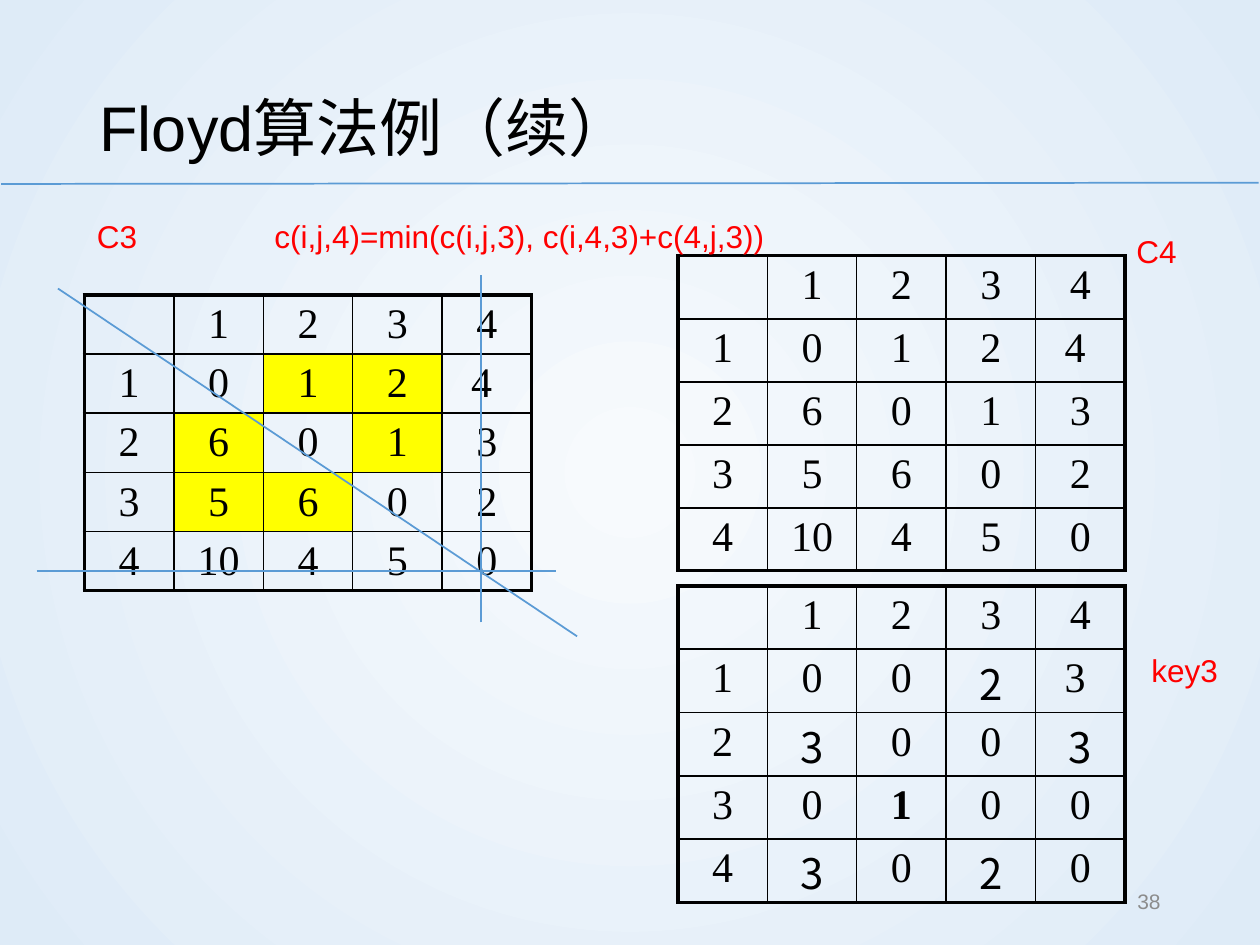
"""Build the Floyd algorithm example slide with three matrices."""
from pptx import Presentation, oxml, util as u
from pptx.dml.color import RGBColor
from pptx.enum import shapes, text
from pptx.oxml import ns

COLORS = {"ink": "000000", "label": "FF0000", "changed": "FFFF00", "stroke": "5B9BD5",
          "number": "8C8C8C", "center": "F7FAFD", "edge": "DEEBF7"}
SANS, SERIF, CJK = "Arial", "Times New Roman", "Noto Sans CJK SC"
TITLE = "Floyd算法例（续）"
COLUMN = 0.71
DISTANCES = [["", "1", "2", "3", "4"],
             ["1", "0", "1", "2", "4 "],
             ["2", "6", "0", "1", "3"],
             ["3", "5", "6", "0", "2"],
             ["4", "10", "4", "5", "0"]]
KEYS = [["", "1", "2", "3", "4"],
        ["1", "0", "0", "2", "3 "],
        ["2", "3", "0", "0", "3"],
        ["3", "0", "1", "0", "0"],
        ["4", "3", "0", "2", "0"]]
MATRICES = [
    {"rows": DISTANCES, "at": (0.67, 2.34), "row": 0.47,
     "changed": {(1, 2), (1, 3), (2, 1), (2, 3), (3, 1), (3, 2)}},
    {"rows": DISTANCES, "at": (5.38, 2.03), "row": 0.5},
    {"rows": KEYS, "at": (5.38, 4.65), "row": 0.5, "bold": {(3, 2)},
     "cjk": {(1, 3), (2, 1), (2, 4), (4, 1), (4, 3)}},
]
LABELS = [("C3", 0.67, 1.67, 0.75),
          ("c(i,j,4)=min(c(i,j,3), c(i,4,3)+c(4,j,3))", 2.08, 1.67, 7.58),
          ("C4", 8.92, 1.79, 0.75),
          ("key3", 9.04, 5.12, 0.75)]
DIVIDER = (0.01, 1.46, 9.99, 1.45)
STRIKES = [(0.46, 2.29, 4.58, 5.05), (0.29, 4.53, 4.41, 4.53), (3.82, 4.94, 3.82, 2.18)]


def rgb(name):
    return RGBColor.from_string(COLORS[name])


def write(frame, words, size=18, font=SANS, color="ink", bold=False,
          align=text.PP_ALIGN.LEFT, anchor=None, spacing=None):
    frame.word_wrap = True
    if anchor is not None:
        frame.vertical_anchor = anchor
    line = frame.paragraphs[0]
    line.alignment, line.line_spacing = align, spacing
    run = line.add_run()
    run.text = words
    run.font.size, run.font.name, run.font.bold = u.Pt(size), font, bold
    run.font.color.rgb = rgb(color)
    east = oxml.parse_xml(f'<a:ea {ns.nsdecls("a")} typeface="{CJK}"/>')
    run.font._element.append(east)


def add_label(slide, words, left, top, width, **style):
    box = slide.shapes.add_textbox(*map(u.Inches, (left, top, width, 0.4)))
    write(box.text_frame, words, **style)


def add_stroke(slide, ends):
    stroke = slide.shapes.add_connector(shapes.MSO_CONNECTOR.STRAIGHT, *map(u.Inches, ends))
    stroke.line.color.rgb, stroke.line.width = rgb("stroke"), u.Pt(1)
    stroke._element.spPr.append(oxml.parse_xml(f'<a:effectLst {ns.nsdecls("a")}/>'))


def add_borders(cell, outer):
    for side, is_outer in outer.items():
        cell._tc.get_or_add_tcPr().append(oxml.parse_xml(
            f'<a:ln{side} {ns.nsdecls("a")} w="{u.Pt(2.25 if is_outer else 1)}">'
            f'<a:solidFill><a:srgbClr val="{COLORS["ink"]}"/></a:solidFill></a:ln{side}>'))


def add_matrix(slide, rows, at, row, changed=(), bold=(), cjk=()):
    count = len(rows)
    size = (COLUMN * count, row * count)
    matrix = slide.shapes.add_table(count, count, *map(u.Inches, at + size)).table
    matrix.first_row = matrix.horz_banding = False
    for i, values in enumerate(rows):
        matrix.rows[i].height = u.Inches(row)
        matrix.columns[i].width = u.Inches(COLUMN)
        for j, value in enumerate(values):
            cell, place = matrix.cell(i, j), (i, j)
            add_borders(cell, {"L": j == 0, "R": j == count - 1,
                               "T": i == 0, "B": i == count - 1})
            if place in changed:
                cell.fill.solid()
                cell.fill.fore_color.rgb = rgb("changed")
            else:
                cell.fill.background()
            if place in cjk:
                cell.margin_top, cell.margin_bottom = u.Inches(0.02), 0
            if value:
                write(cell.text_frame, value, size=24, font=CJK if place in cjk else SERIF,
                      bold=place in bold, align=text.PP_ALIGN.CENTER)


def paint_background(slide):
    fill = slide.background.fill
    fill.gradient()
    for stop, name, position in zip(fill.gradient_stops, ("center", "edge"), (0, 1)):
        stop.color.rgb, stop.position = rgb(name), position
    gradient = slide._element.xpath(".//p:bg//a:gradFill")[0]
    gradient.replace(gradient.find(ns.qn("a:lin")), oxml.parse_xml(
        f'<a:path {ns.nsdecls("a")} path="circle">'
        '<a:fillToRect l="50000" t="50000" r="50000" b="50000"/></a:path>'))


def main():
    deck = Presentation()
    deck.slide_width, deck.slide_height = u.Inches(10), u.Inches(7.5)
    slide = deck.slides.add_slide(deck.slide_layouts[5])
    paint_background(slide)
    add_stroke(slide, DIVIDER)
    title = slide.shapes.title
    title.left, title.top, title.width, title.height = map(u.Inches, (0.69, 0.4, 8.62, 1.08))
    write(title.text_frame, TITLE, size=36, anchor=text.MSO_ANCHOR.MIDDLE, spacing=1.2)
    for matrix in MATRICES:
        add_matrix(slide, **matrix)
    for label in LABELS:
        add_label(slide, *label, color="label")
    for strike in STRIKES:
        add_stroke(slide, strike)
    add_label(slide, "38", 7.06, 6.95, 2.25, size=12, color="number",
              align=text.PP_ALIGN.RIGHT, anchor=text.MSO_ANCHOR.MIDDLE)
    deck.save("out.pptx")


if __name__ == "__main__":
    main()
